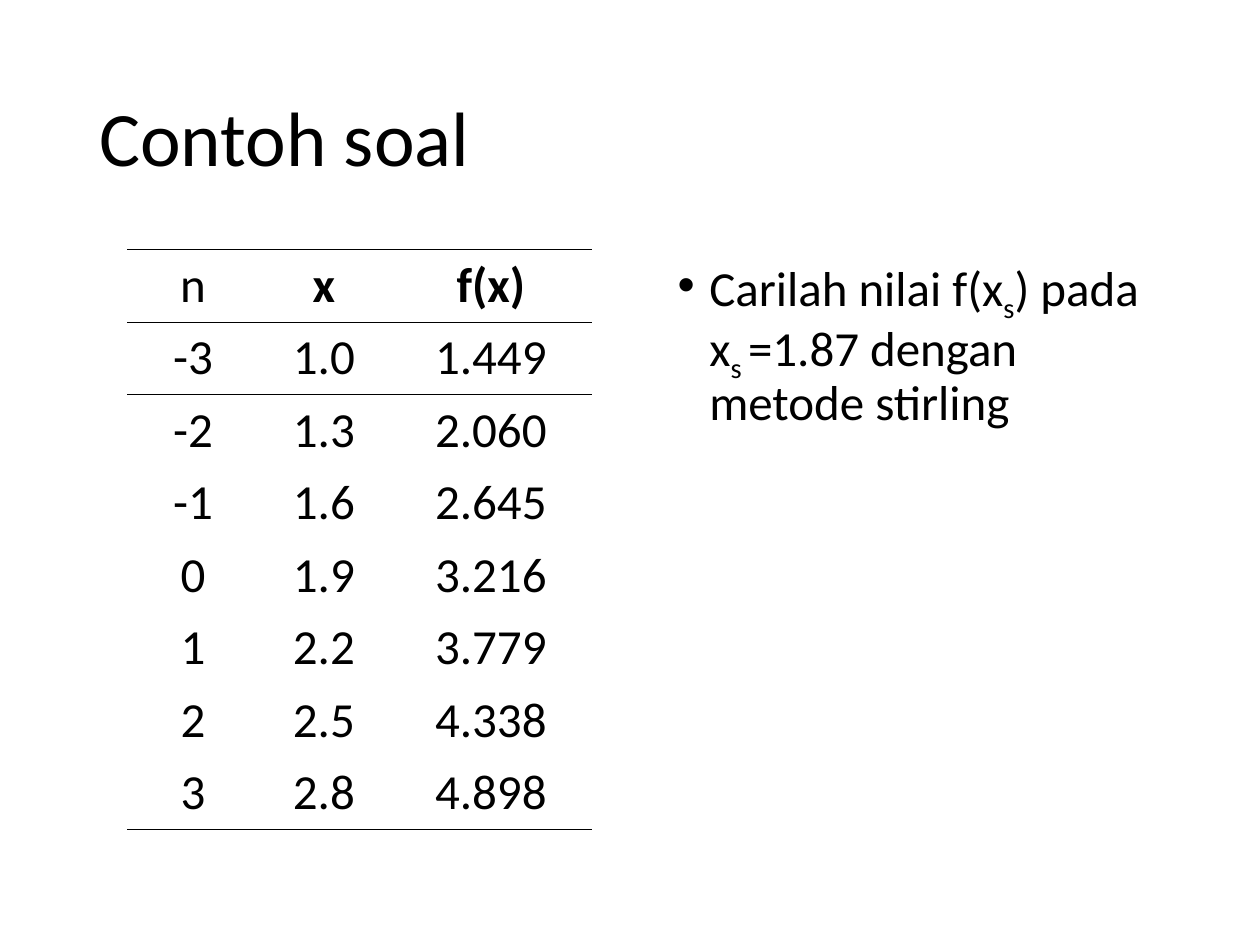
from lxml import etree
from pptx import Presentation
from pptx.dml.color import RGBColor
from pptx.enum.text import MSO_ANCHOR, PP_ALIGN
from pptx.oxml.ns import qn
from pptx.util import Cm, Pt

MIDDLE, TOP = MSO_ANCHOR.MIDDLE, MSO_ANCHOR.TOP
CENTER = PP_ALIGN.CENTER
COLORS = {"text": "000000", "rule": "000000"}
FONT = "Calibri"
NO_STYLE = "{2D5ABB26-0587-4C30-8999-92F81FD0307C}"


def add_run(p, text, size=28, bold=False, baseline=None):
    r = p.add_run()
    r.text = text
    r.font.name, r.font.size, r.font.bold = FONT, Pt(size), bold
    r.font.color.rgb = RGBColor.from_string(COLORS["text"])
    if baseline:
        r.font._element.set("baseline", str(baseline))


def add_text(s, left, top, width, height, anchor):
    tf = s.shapes.add_textbox(Cm(left), Cm(top), Cm(width), Cm(height)).text_frame
    tf.word_wrap = True
    tf.vertical_anchor = anchor
    p = tf.paragraphs[0]
    p.line_spacing = 0.9
    return p


prs = Presentation()
prs.slide_width, prs.slide_height = Cm(25.4), Cm(19.05)
s = prs.slides.add_slide(prs.slide_layouts[6])

# Title
p = add_text(s, 1.75, 1.01, 21.91, 3.68, MIDDLE)
add_run(p, "Contoh soal", size=44)

# Table of values
rows = [
    ("n", "x", "f(x)"),
    ("-3", "1.0", "1.449"),
    ("-2", "1.3", "2.060"),
    ("-1", "1.6", "2.645"),
    ("0", "1.9", "3.216"),
    ("1", "2.2", "3.779"),
    ("2", "2.5", "4.338"),
    ("3", "2.8", "4.898"),
]
widths = [2.64, 2.64, 4.09]
row_height = 1.46
last = len(rows) - 1
frame = s.shapes.add_table(len(rows), len(widths), Cm(2.57), Cm(5.03),
                           Cm(sum(widths)), Cm(row_height * len(rows)))
table = frame.table
table.first_row = table.horz_banding = False
table._tbl.tblPr.find(qn("a:tableStyleId")).text = NO_STYLE
for col, width in zip(table.columns, widths):
    col.width = Cm(width)

for i, values in enumerate(rows):
    table.rows[i].height = Cm(row_height)
    # Rules above and below the header, and below the last row
    sides = {0: ["lnT", "lnB"], 1: ["lnT"], last: ["lnB"]}.get(i, [])
    for j, value in enumerate(values):
        cell = table.cell(i, j)
        cell.fill.background()
        p = cell.text_frame.paragraphs[0]
        p.alignment = CENTER
        add_run(p, value, bold=i == 0 and j > 0)
        tcPr = cell._tc.get_or_add_tcPr()
        for k, side in enumerate(sides):
            ln = etree.Element(qn(f"a:{side}"), w=str(Pt(0.45)))
            fill = etree.SubElement(ln, qn("a:solidFill"))
            etree.SubElement(fill, qn("a:srgbClr"), val=COLORS["rule"])
            tcPr.insert(k, ln)

# Question
p = add_text(s, 13.41, 5.08, 10.24, 10.77, TOP)
pPr = p._p.get_or_add_pPr()
pPr.set("marL", str(Cm(0.64)))
pPr.set("indent", str(-Cm(0.64)))
etree.SubElement(pPr, qn("a:buFont"), typeface="Arial")
etree.SubElement(pPr, qn("a:buChar"), char="•")
for text, baseline in [("Carilah nilai f(x", None), ("s", -25000), (") pada x", None),
                       ("s ", -25000), ("=1.87 dengan metode stirling", None)]:
    add_run(p, text, baseline=baseline)

prs.save("out.pptx")
